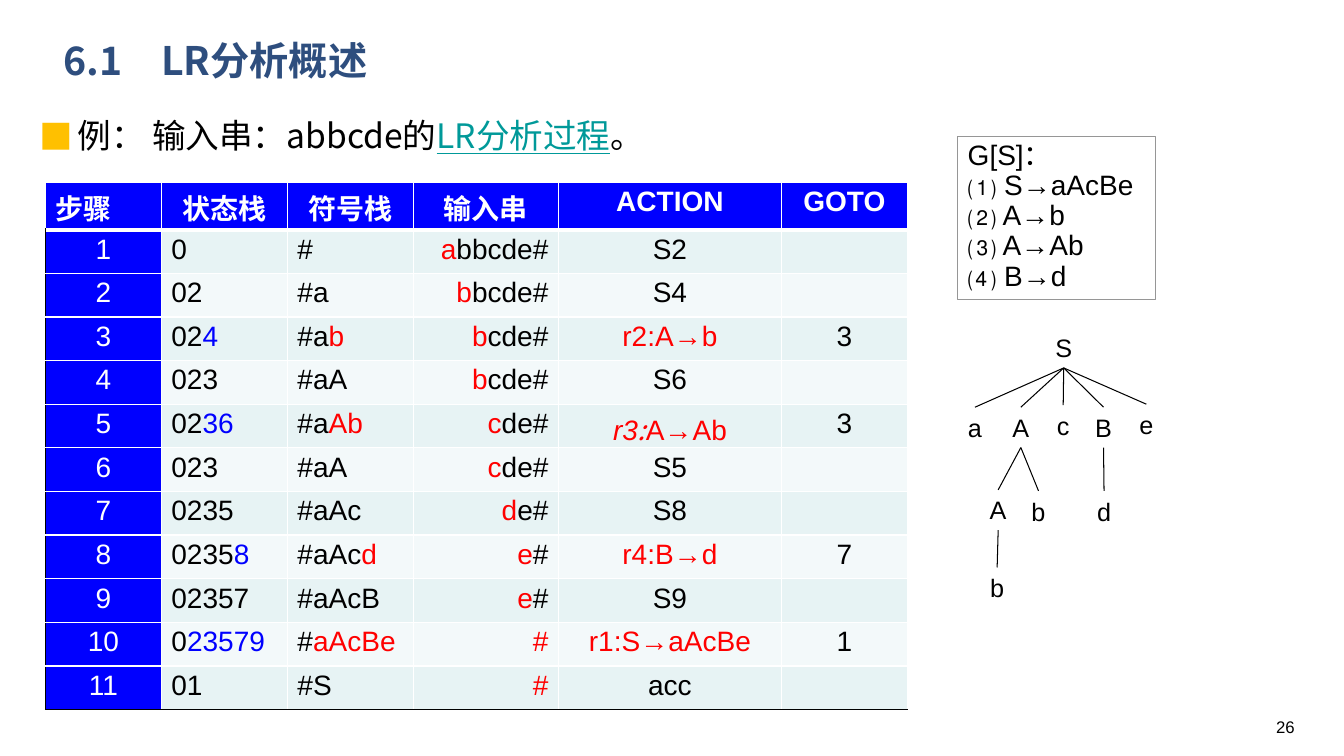
import dataclasses
from typing import Any

import lxml.etree
import pptx
import pptx.dml.color
import pptx.enum.shapes
import pptx.enum.text
import pptx.oxml.ns
import pptx.util

PX = 9144  # EMU per px, 100 px to the inch
ALIGN = pptx.enum.text.PP_ALIGN
ANCHOR = pptx.enum.text.MSO_ANCHOR
FIT = pptx.enum.text.MSO_AUTO_SIZE
LATIN, CJK = "Arial", "Noto Sans CJK SC"
COLOURS = {
    "black": "000000", "white": "FFFFFF", "red": "FF0000", "blue": "0000FF",
    "title": "2E4E7E", "link": "009999", "bullet": "FFC000", "frame": "969696",
    "odd": "E7F3F4", "even": "F3F9FA",
}


@dataclasses.dataclass(frozen=True)
class Run:
    text: str
    colour: str = "black"
    size: int = 20
    name: str = LATIN
    extra: dict[str, Any] = dataclasses.field(default_factory=dict)


@dataclasses.dataclass(frozen=True)
class Step:
    """One parser step; the top parts of the stacks and the input head are coloured."""
    states: str
    top_states: str
    symbols: str
    top_symbols: str
    head: str
    rest: str
    action: str
    goto: str = ""


@dataclasses.dataclass(frozen=True)
class Node:
    symbol: str
    left: int
    top: int
    width: int
    parent: int | None = None


HEADINGS = ["步骤", "状态栈", "符号栈", "输入串", "ACTION", "GOTO"]
COLUMN_WIDTHS = [115, 125, 125, 144, 221, 125]
COLUMN_ALIGNS = [ALIGN.CENTER, ALIGN.LEFT, ALIGN.LEFT, ALIGN.RIGHT, ALIGN.CENTER, ALIGN.CENTER]
TABLE_HEIGHT, HEADING_HEIGHT = 523, 47
STEPS = [
    Step("0", "", "#", "", "a", "bbcde#", "S2"),
    Step("02", "", "#a", "", "b", "bcde#", "S4"),
    Step("02", "4", "#a", "b", "b", "cde#", "r2:A→b", "3"),
    Step("023", "", "#aA", "", "b", "cde#", "S6"),
    Step("02", "36", "#a", "Ab", "c", "de#", "r3:A→Ab", "3"),
    Step("023", "", "#aA", "", "c", "de#", "S5"),
    Step("0235", "", "#aAc", "", "d", "e#", "S8"),
    Step("0235", "8", "#aAc", "d", "e", "#", "r4:B→d", "7"),
    Step("02357", "", "#aAcB", "", "e", "#", "S9"),
    Step("0", "23579", "#", "aAcBe", "#", "", "r1:S→aAcBe", "1"),
    Step("01", "", "#S", "", "#", "", "acc"),
]
ITALIC_REDUCTION = "r3"
GRAMMAR = ["G[S]：", "⑴ S→aAcBe", "⑵ A→b", "⑶ A→Ab", "⑷ B→d"]
TREE = [
    Node("S", 1031, 325, 48),
    Node("a", 950, 404, 34, 0),
    Node("A", 994, 404, 37, 0),
    Node("c", 1038, 402, 33, 0),
    Node("B", 1076, 404, 37, 0),
    Node("e", 1120, 401, 34, 0),
    Node("A", 967, 486, 46, 2),
    Node("b", 1007, 487, 46, 2),
    Node("d", 1072, 487, 46, 4),
    Node("b", 966, 563, 46, 6),
]
NODE_HEIGHT = 40


def rgb(colour: str) -> pptx.dml.color.RGBColor:
    return pptx.dml.color.RGBColor.from_string(COLOURS[colour])


def child(parent: Any, tag: str, **attributes: str) -> Any:
    return lxml.etree.SubElement(parent, pptx.oxml.ns.qn(tag), attributes)


def box(*lengths: int) -> list[int]:
    return [length * PX for length in lengths]


def write(paragraph: Any, runs: list[Run], align: Any = ALIGN.LEFT, spacing: float = 1.0) -> None:
    paragraph.alignment = align
    paragraph.line_spacing = spacing
    for part in runs:
        if not part.text:
            continue
        run = paragraph.add_run()
        run.text = part.text
        values = {"size": pptx.util.Pt(part.size), "name": part.name, **part.extra}
        for key, value in values.items():
            setattr(run.font, key, value)
        run.font.color.rgb = rgb(part.colour)
        child(run.font._element, "a:ea", typeface=CJK)


def add_text(shapes: Any, place: list[int], runs: list[Run], align: Any = ALIGN.LEFT,
             spacing: float = 1.0, **frame_format: Any) -> Any:
    text_box = shapes.add_textbox(*place)
    frame = text_box.text_frame
    for key, value in {"word_wrap": True, **frame_format}.items():
        setattr(frame, key, value)
    write(frame.paragraphs[0], runs, align, spacing)
    return text_box


def add_example(shapes: Any) -> None:
    example = shapes.add_textbox(*box(29, 105, 1150, 56))
    example.text_frame.word_wrap = True
    paragraph = example.text_frame.paragraphs[0]
    properties = paragraph._p.get_or_add_pPr()
    properties.set("marL", str(38 * PX))
    properties.set("indent", str(-38 * PX))
    child(child(properties, "a:buClr"), "a:srgbClr", val=COLOURS["bullet"])
    child(properties, "a:buFont", typeface=CJK)
    child(properties, "a:buChar", char="■")
    write(paragraph, [
        Run("例： 输入串：abbcde的", size=24, name=CJK),
        Run("LR分析过程", "link", 24, CJK, {"underline": True}),
        Run("。", size=24, name=CJK),
    ], spacing=1.1)


def add_grammar(shapes: Any) -> None:
    grammar = shapes.add_shape(pptx.enum.shapes.MSO_SHAPE.RECTANGLE, *box(950, 135, 196, 162))
    grammar.shadow.inherit = False
    grammar.fill.solid()
    grammar.fill.fore_color.rgb = rgb("white")
    grammar.line.color.rgb = rgb("frame")
    grammar.line.width = pptx.util.Pt(0.75)
    frame = grammar.text_frame
    for key, value in {"word_wrap": True, "vertical_anchor": ANCHOR.TOP,
                       "auto_size": FIT.SHAPE_TO_FIT_TEXT}.items():
        setattr(frame, key, value)
    for index, rule in enumerate(GRAMMAR):
        paragraph = frame.add_paragraph() if index else frame.paragraphs[0]
        write(paragraph, [Run(rule)], spacing=0.9)


def style_cell(cell: Any, fill: str, borders: dict[str, tuple[str, int]]) -> None:
    cell.margin_top = 4 * PX
    cell.margin_bottom = 0
    properties = cell._tc.get_or_add_tcPr()
    for side in "LRTB":
        colour, width = borders.get(side, ("white", 1))
        line = child(properties, f"a:ln{side}", w=str(pptx.util.Pt(width)))
        child(child(line, "a:solidFill"), "a:srgbClr", val=COLOURS[colour])
    cell.fill.solid()
    cell.fill.fore_color.rgb = rgb(fill)


def step_cells(number: int, step: Step) -> list[list[Run]]:
    name, colon, rule = step.action.partition(":")
    if name == ITALIC_REDUCTION:
        italic = {"italic": True}
        action = [Run(name, "red", extra=italic), Run(colon, "red", name=CJK, extra=italic),
                  Run(rule, "red")]
    else:
        action = [Run(step.action, "red" if colon else "black")]
    return [
        [Run(str(number), "white")],
        [Run(step.states), Run(step.top_states, "blue")],
        [Run(step.symbols), Run(step.top_symbols, "red")],
        [Run(step.head, "red"), Run(step.rest)],
        action,
        [Run(step.goto)],
    ]


def add_steps(shapes: Any) -> None:
    place = box(45, 181, sum(COLUMN_WIDTHS), TABLE_HEIGHT)
    table = shapes.add_table(len(STEPS) + 1, len(HEADINGS), *place).table
    table.first_row = table.horz_banding = False
    for column, width in zip(table.columns, COLUMN_WIDTHS):
        column.width = width * PX
    for row in table.rows:
        row.height = (TABLE_HEIGHT - HEADING_HEIGHT) * PX // len(STEPS)
    table.rows[0].height = HEADING_HEIGHT * PX

    for column, heading in enumerate(HEADINGS):
        cell = table.cell(0, column)
        style_cell(cell, "blue", {"B": ("white", 3)})
        write(cell.text_frame.paragraphs[0], [Run(heading, "white", extra={"bold": True})],
              ALIGN.CENTER if column else ALIGN.LEFT)
    for number, step in enumerate(STEPS, 1):
        for column, runs in enumerate(step_cells(number, step)):
            cell = table.cell(number, column)
            borders = {} if column else {"L": ("black", 1)}
            if number == len(STEPS):
                borders["B"] = ("black", 1)
            band = "odd" if number % 2 else "even"
            style_cell(cell, band if column else "blue", borders)
            write(cell.text_frame.paragraphs[0], runs, COLUMN_ALIGNS[column])


def add_tree(shapes: Any) -> None:
    tree = shapes.add_group_shape().shapes
    symbols = [
        add_text(tree, box(node.left, node.top, node.width, NODE_HEIGHT),
                 [Run(node.symbol, size=18)], ALIGN.CENTER,
                 word_wrap=node.width > 40, auto_size=FIT.SHAPE_TO_FIT_TEXT)
        for node in TREE
    ]
    for node, symbol in zip(TREE, symbols):
        if node.parent is None:
            continue
        branch = tree.add_connector(pptx.enum.shapes.MSO_CONNECTOR.STRAIGHT,
                                    symbol.left, symbol.top, symbol.left, symbol.top)
        branch.begin_connect(symbols[node.parent], 2)
        branch.end_connect(symbol, 0)
        branch.line.color.rgb = rgb("black")
        branch.line.width = pptx.util.Pt(0.75)
        child(branch._element.spPr, "a:effectLst")


def main() -> None:
    deck = pptx.Presentation()
    deck.slide_width, deck.slide_height = box(1333, 750)
    shapes = deck.slides.add_slide(deck.slide_layouts[6]).shapes
    add_text(shapes, box(1061, 706, 233, 27), [Run("26", size=12)], ALIGN.RIGHT)
    add_grammar(shapes)
    add_steps(shapes)
    add_tree(shapes)
    add_text(shapes, box(53, 28, 1150, 68),
             [Run("6.1　LR分析概述", "title", 28, CJK, {"bold": True})],
             spacing=0.9, vertical_anchor=ANCHOR.MIDDLE)
    add_example(shapes)
    deck.save("out.pptx")


if __name__ == "__main__":
    main()
